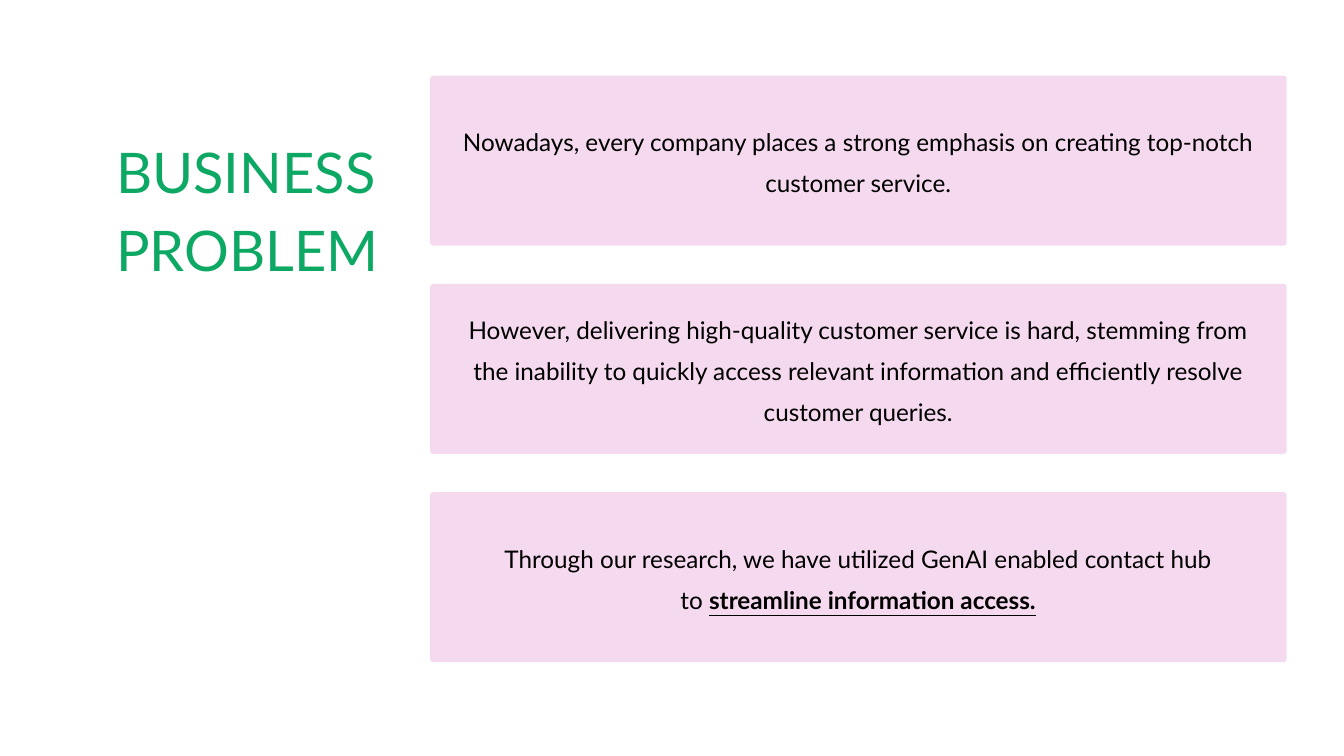
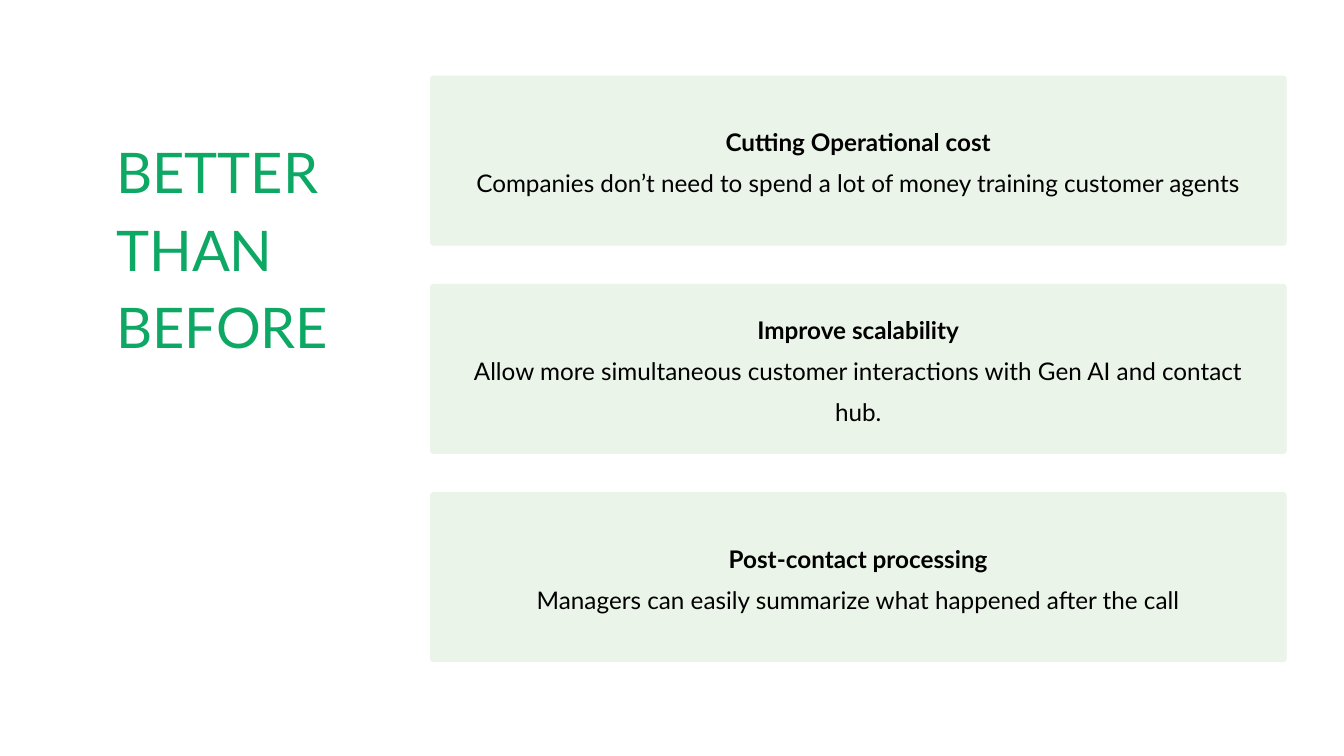
from pptx import Presentation
from pptx.dml.color import RGBColor
from pptx.enum.shapes import MSO_SHAPE
from pptx.enum.text import MSO_ANCHOR, MSO_AUTO_SIZE, PP_ALIGN
from pptx.util import Inches, Pt

ROUNDED = MSO_SHAPE.ROUNDED_RECTANGLE
TOP, MIDDLE = MSO_ANCHOR.TOP, MSO_ANCHOR.MIDDLE
LEFT, CENTER = PP_ALIGN.LEFT, PP_ALIGN.CENTER
NO_AUTOFIT = MSO_AUTO_SIZE.NONE

COLORS = {"title": "0EA865", "text": "000000", "problem": "F5D9EE", "benefit": "EBF4E8"}
FONT = "Lato"
TITLE_LEFT, TITLE_TOP, TITLE_WIDTH, TITLE_LINE_HEIGHT = 8.65, 16.89, 24.6, 8.57
CARD_LEFT, CARD_TOP, CARD_WIDTH, CARD_HEIGHT, CARD_STEP = 32, 10, 63.73, 22.5, 27.55

PLAIN, BOLD, KEY = (False, False), (True, False), (True, True)

PROBLEMS = [
    [[("Nowadays, every company places a strong emphasis on creating "
       "top-notch customer service.", PLAIN)]],
    [[("However, delivering high-quality customer service is hard, stemming from the "
       "inability to quickly access relevant information and efficiently resolve "
       "customer queries.", PLAIN)]],
    [[("Through our research, we have utilized GenAI enabled contact hub", PLAIN)],
     [("to ", PLAIN), ("streamline information access.", KEY)]],
]
BENEFITS = [
    ("Cutting Operational cost",
     "Companies don’t need to spend a lot of money training customer agents"),
    ("Improve scalability",
     "Allow more simultaneous customer interactions with Gen AI and contact hub."),
    ("Post-contact processing",
     "Managers can easily summarize what happened after the call"),
]


class Deck:
    """Holds the shared style and the current slide; lengths are percent of the slide."""

    def __init__(self):
        self.presentation = Presentation()
        self.presentation.slide_width = Inches(20)
        self.presentation.slide_height = Inches(11.25)
        self.slide = None

    def box(self, left, top, width, height):
        """Turn percentages of the slide into lengths."""
        across = self.presentation.slide_width / 100
        down = self.presentation.slide_height / 100
        return [round(length) for length in
                (left * across, top * down, width * across, height * down)]

    def add_slide(self):
        """Start a title-only slide."""
        layout = self.presentation.slide_layouts.get_by_name("Title Only")
        self.slide = self.presentation.slides.add_slide(layout)

    def set_frame(self, frame, anchor, side, top, bottom):
        """Set wrapping, anchor and insets of a text frame."""
        frame.word_wrap = True
        frame.auto_size = NO_AUTOFIT
        frame.vertical_anchor = anchor
        frame.margin_left = frame.margin_right = Inches(side)
        frame.margin_top, frame.margin_bottom = Inches(top), Inches(bottom)

    def format_paragraph(self, paragraph, alignment, spacing, size, color):
        """Set the alignment and line spacing of a paragraph and the font of its runs."""
        paragraph.alignment = alignment
        paragraph.line_spacing = spacing
        for run in paragraph.runs:
            run.font.name = FONT
            run.font.size = Pt(size)
            run.font.color.rgb = RGBColor.from_string(COLORS[color])

    def title(self, text, line_count):
        """Move and fill the title placeholder."""
        shape = self.slide.shapes.title
        shape.left, shape.top, shape.width, shape.height = self.box(
            TITLE_LEFT, TITLE_TOP, TITLE_WIDTH, TITLE_LINE_HEIGHT * line_count)
        self.set_frame(shape.text_frame, TOP, 0, 0, 0)
        shape.text_frame.text = text
        for paragraph in shape.text_frame.paragraphs:
            self.format_paragraph(paragraph, LEFT, 1.15, 60, "title")

    def card(self, row, color, paragraphs):
        """Add a rounded card with centred text in the given row."""
        shape = self.slide.shapes.add_shape(ROUNDED, *self.box(
            CARD_LEFT, CARD_TOP + row * CARD_STEP, CARD_WIDTH, CARD_HEIGHT))
        shape.adjustments[0] = 0.02
        shape.shadow.inherit = False
        shape.fill.solid()
        shape.fill.fore_color.rgb = RGBColor.from_string(COLORS[color])
        shape.line.fill.background()
        frame = shape.text_frame
        self.set_frame(frame, MIDDLE, 0.28, 0.2, 0.32)
        for index, pieces in enumerate(paragraphs):
            paragraph = frame.add_paragraph() if index else frame.paragraphs[0]
            for text, (bold, underline) in pieces:
                run = paragraph.add_run()
                run.text = text
                run.font.bold, run.font.underline = bold, underline
            self.format_paragraph(paragraph, CENTER, 1.4, 26, "text")

    def card_slide(self, title, line_count, color, cards):
        """Add a slide with a title on the left and a column of cards."""
        self.add_slide()
        self.title(title, line_count)
        for row, paragraphs in enumerate(cards):
            self.card(row, color, paragraphs)


def main():
    """Build both slides and save them."""
    deck = Deck()
    deck.card_slide("BUSINESS PROBLEM", 2, "problem", PROBLEMS)
    deck.card_slide("BETTER\nTHAN BEFORE", 3, "benefit",
                    [[[(heading, BOLD)], [(detail, PLAIN)]] for heading, detail in BENEFITS])
    deck.presentation.save("out.pptx")


if __name__ == "__main__":
    main()
